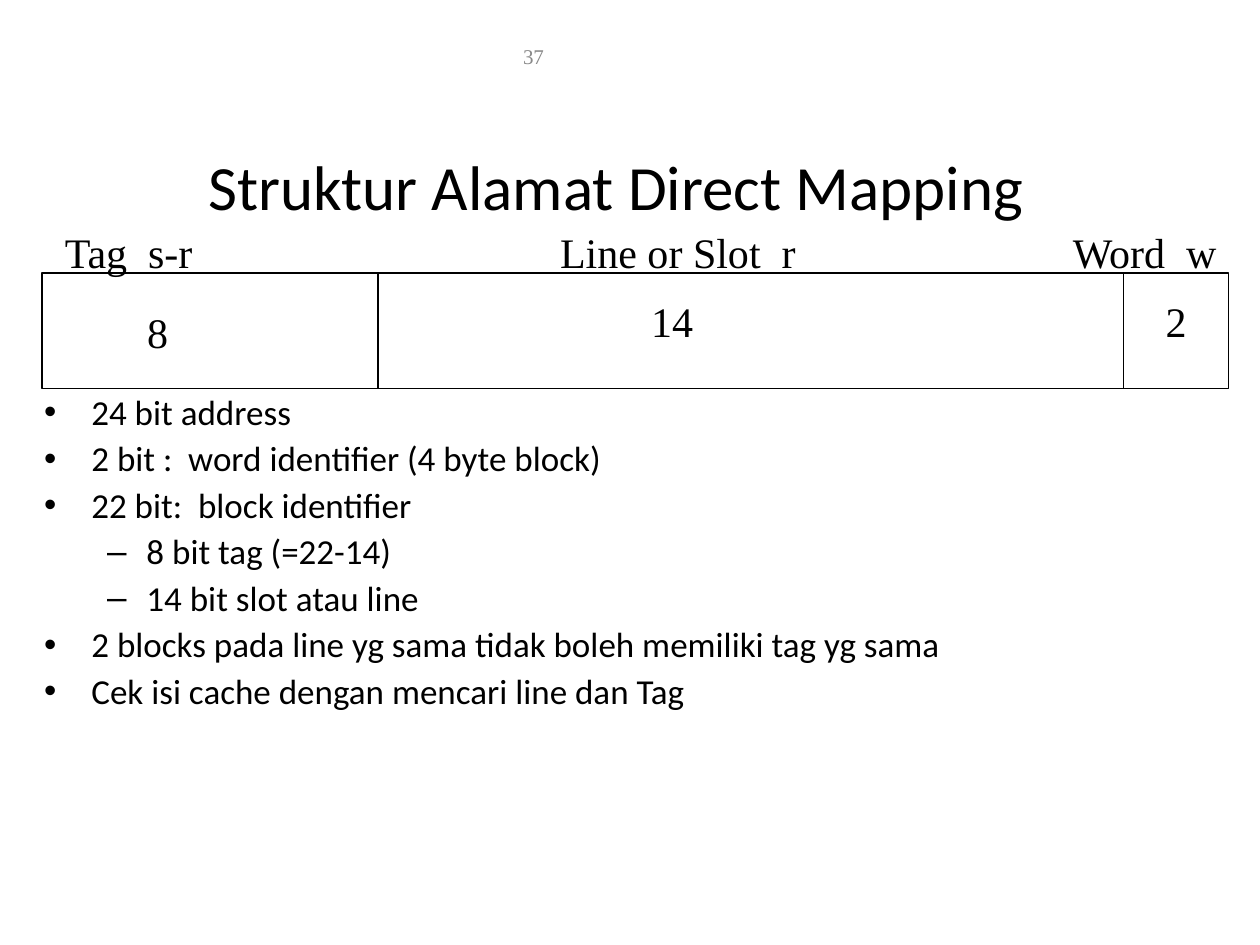
"""Build the slide on the address structure of direct mapping."""
from pptx import Presentation
from pptx import util as u
from pptx.dml.color import RGBColor
from pptx.enum import shapes, text
from pptx.oxml import parse_xml
from pptx.oxml.ns import nsdecls

BLACK = RGBColor(0x00, 0x00, 0x00)
GREY = RGBColor(0x89, 0x89, 0x89)
SANS, SERIF = "Calibri", "Times New Roman"

TITLE = "Struktur Alamat Direct Mapping"
PAGE_NUMBER = "37"
BULLETS = [
    (0, "24 bit address"),
    (0, "2 bit :  word identifier (4 byte block)"),
    (0, "22 bit:  block identifier"),
    (1, "8 bit tag (=22-14)"),
    (1, "14 bit slot atau line"),
    (0, "2 blocks pada line yg sama tidak boleh memiliki tag yg sama"),
    (0, "Cek isi cache dengan mencari line dan Tag"),
]
INDENTS = {0: (27, -27), 1: (58.5, -22.5)}

FIELD_LEFT, FIELD_TOP, FIELD_WIDTH, FIELD_HEIGHT = 24, 156, 678, 66
DIVIDERS = [216, 642]
LABEL_TOP, LABEL_HEIGHT = 126, 36
FIELD_LABELS = [
    ("Tag  s-r", 30, 88.5),
    ("Line or Slot  r", 313, 149.5),
    ("Word  w", 606, 98),
]
FIELD_BITS = [
    ("8", 77, 171.5, 27),
    ("14", 365, 165.5, 39),
    ("2", 659, 165.5, 27),
]


def place(shape, left, top, width, height):
    shape.left, shape.top = u.Pt(left), u.Pt(top)
    shape.width, shape.height = u.Pt(width), u.Pt(height)


def set_font(paragraph, name, size, color):
    paragraph.font.name = name
    paragraph.font.size = u.Pt(size)
    paragraph.font.color.rgb = color


def add_label(slide, words, left, top, width, height, size=24, color=BLACK):
    box = slide.shapes.add_textbox(*map(u.Pt, (left, top, width, height)))
    box.text_frame.word_wrap = False
    box.text_frame.auto_size = text.MSO_AUTO_SIZE.SHAPE_TO_FIT_TEXT
    paragraph = box.text_frame.paragraphs[0]
    paragraph.text = words
    set_font(paragraph, SERIF, size, color)
    return box


def outline(line):
    line.color.rgb = BLACK
    line.width = u.Pt(0.75)


def fill_title(shape):
    place(shape, 26, 80.5, 652, 51)
    shape.text_frame.text = TITLE
    shape.text_frame.auto_size = text.MSO_AUTO_SIZE.NONE
    set_font(shape.text_frame.paragraphs[0], SANS, 36, BLACK)


def fill_body(shape):
    place(shape, 18, 222, 662, 255)
    frame = shape.text_frame
    frame.text = "\n".join(words for _, words in BULLETS)
    frame.auto_size = text.MSO_AUTO_SIZE.NONE
    for index, (level, _) in enumerate(BULLETS):
        paragraph = frame.paragraphs[index]
        paragraph.level = level
        margin, indent = INDENTS[level]
        properties = paragraph._p.get_or_add_pPr()
        properties.set("marL", str(u.Pt(margin)))
        properties.set("indent", str(u.Pt(indent)))
        paragraph.line_spacing = 0.9
        paragraph.space_before = u.Pt(5 if index else 0)
        set_font(paragraph, SANS, 20, BLACK)


def add_page_number(slide):
    box = add_label(slide, PAGE_NUMBER, 213, 17.5, 105, 29, 12, GREY)
    box.text_frame.word_wrap = True
    box.text_frame.auto_size = text.MSO_AUTO_SIZE.NONE
    box.text_frame.vertical_anchor = text.MSO_ANCHOR.MIDDLE
    box.text_frame.paragraphs[0].alignment = text.PP_ALIGN.RIGHT


def add_address_field(slide):
    field = slide.shapes.add_shape(
        shapes.MSO_SHAPE.RECTANGLE,
        *map(u.Pt, (FIELD_LEFT, FIELD_TOP, FIELD_WIDTH, FIELD_HEIGHT)))
    field.shadow.inherit = False
    field.fill.background()
    outline(field.line)
    for x in DIVIDERS:
        divider = slide.shapes.add_connector(
            shapes.MSO_CONNECTOR.STRAIGHT,
            *map(u.Pt, (x, FIELD_TOP, x, FIELD_TOP + FIELD_HEIGHT)))
        outline(divider.line)
        divider._element.spPr.append(
            parse_xml(f"<a:effectLst {nsdecls('a')}/>"))
    for words, left, width in FIELD_LABELS:
        add_label(slide, words, left, LABEL_TOP, width, LABEL_HEIGHT)
    for words, left, top, width in FIELD_BITS:
        add_label(slide, words, left, top, width, LABEL_HEIGHT)


def main():
    presentation = Presentation()
    presentation.slide_width, presentation.slide_height = u.Pt(720), u.Pt(540)
    slide = presentation.slides.add_slide(presentation.slide_layouts[1])
    fill_title(slide.shapes.title)
    fill_body(slide.placeholders[1])
    add_page_number(slide)
    add_address_field(slide)
    presentation.save("out.pptx")


if __name__ == "__main__":
    main()
